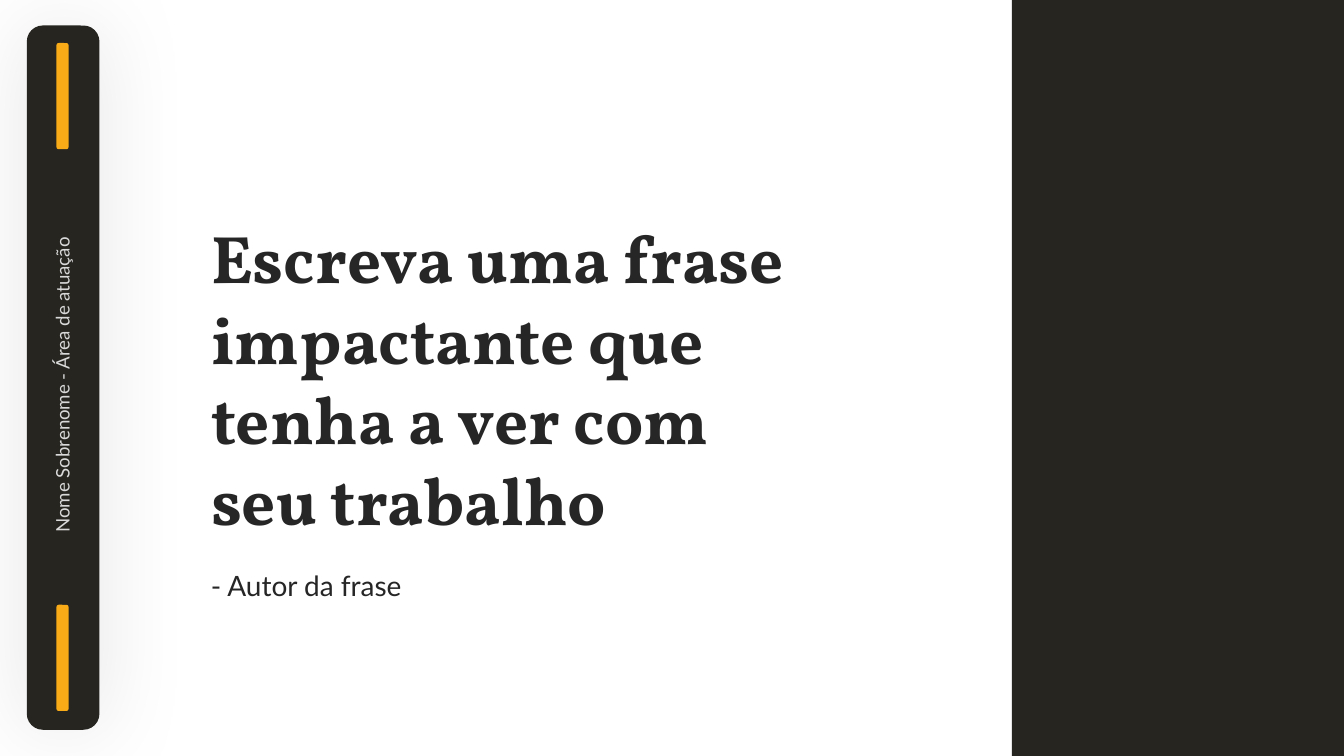
from lxml.etree import SubElement
from pptx import Presentation
from pptx.dml.color import RGBColor
from pptx.enum.shapes import MSO_SHAPE as Shape
from pptx.enum.text import MSO_ANCHOR as Anchor, MSO_AUTO_SIZE as AutoSize, PP_ALIGN as Align
from pptx.oxml.ns import qn
from pptx.util import Inches, Pt

DARK = RGBColor(0x26, 0x25, 0x20)
INK = RGBColor(0x26, 0x26, 0x26)
AMBER = RGBColor(0xF9, 0xAB, 0x17)
LIGHT_GREY = RGBColor(0xD9, 0xD9, 0xD9)

SLIDE_WIDTH = 10
SLIDE_HEIGHT = SLIDE_WIDTH * 9 / 16


def add_block(slide, kind, left, top, width, height, color, corner=None):
    block = slide.shapes.add_shape(
        kind, Inches(left), Inches(top), Inches(width), Inches(height))
    block.shadow.inherit = False
    block.fill.solid()
    block.fill.fore_color.rgb = color
    block.line.fill.background()
    if corner is not None:
        block.adjustments[0] = corner
    return block


def add_glow(block, blur, opacity):
    """Give the block a soft black shadow that spreads evenly on all sides."""
    effects = block.element.spPr.find(qn("a:effectLst"))
    shadow = SubElement(effects, qn("a:outerShdw"), blurRad=str(Pt(blur)),
                        dist="0", dir="0", algn="ctr", rotWithShape="0")
    black = SubElement(shadow, qn("a:srgbClr"), val="000000")
    SubElement(black, qn("a:alpha"), val=str(opacity * 1000))


def style_text(frame, text, font_name, size, color, align=Align.LEFT, bold=False):
    frame.text = text
    paragraph = frame.paragraphs[0]
    paragraph.alignment = align
    font = paragraph.font
    font.name, font.size, font.bold = font_name, Pt(size), bold
    font.color.rgb = color


def add_quote(slide, text):
    quote = slide.shapes.title
    quote.left, quote.top = Inches(1.47), Inches(1.55)
    quote.width, quote.height = Inches(4.53), Inches(2.52)
    frame = quote.text_frame
    frame.word_wrap = True
    frame.auto_size = AutoSize.SHAPE_TO_FIT_TEXT
    frame.vertical_anchor = Anchor.MIDDLE
    style_text(frame, text, "Vollkorn", 36, INK, bold=True)


def add_label(slide, text, left, top, width, height, size, color,
              align=Align.LEFT, wrap=True, rotation=0):
    label = slide.shapes.add_textbox(
        Inches(left), Inches(top), Inches(width), Inches(height))
    label.rotation = rotation
    frame = label.text_frame
    frame.word_wrap = wrap
    frame.auto_size = AutoSize.SHAPE_TO_FIT_TEXT
    style_text(frame, text, "Lato", size, color, align)


def add_sidebar(slide):
    bar = add_block(slide, Shape.ROUNDED_RECTANGLE, 0.2, 0.19, 0.54, 5.24, DARK, 0.22)
    add_glow(bar, blur=50, opacity=10)
    for accent_top in (0.32, 4.5):
        add_block(slide, Shape.ROUNDED_RECTANGLE, 0.42, accent_top, 0.09, 0.79, AMBER, 0.19)
    add_label(slide, "Nome Sobrenome - Área de atuação", -0.78, 2.68, 2.49, 0.27,
              10, LIGHT_GREY, wrap=False, rotation=270)


def main():
    deck = Presentation()
    deck.slide_width, deck.slide_height = Inches(SLIDE_WIDTH), Inches(SLIDE_HEIGHT)
    slide = deck.slides.add_slide(deck.slide_layouts[5])

    panel_left = 7.53
    add_block(slide, Shape.RECTANGLE, panel_left, 0,
              SLIDE_WIDTH - panel_left, SLIDE_HEIGHT, DARK)
    add_quote(slide, "Escreva uma frase impactante que tenha a ver com seu trabalho")
    add_label(slide, "- Autor da frase", 1.47, 4.18, 1.79, 0.35, 15, INK, Align.JUSTIFY)
    add_sidebar(slide)
    deck.save("out.pptx")


if __name__ == "__main__":
    main()
